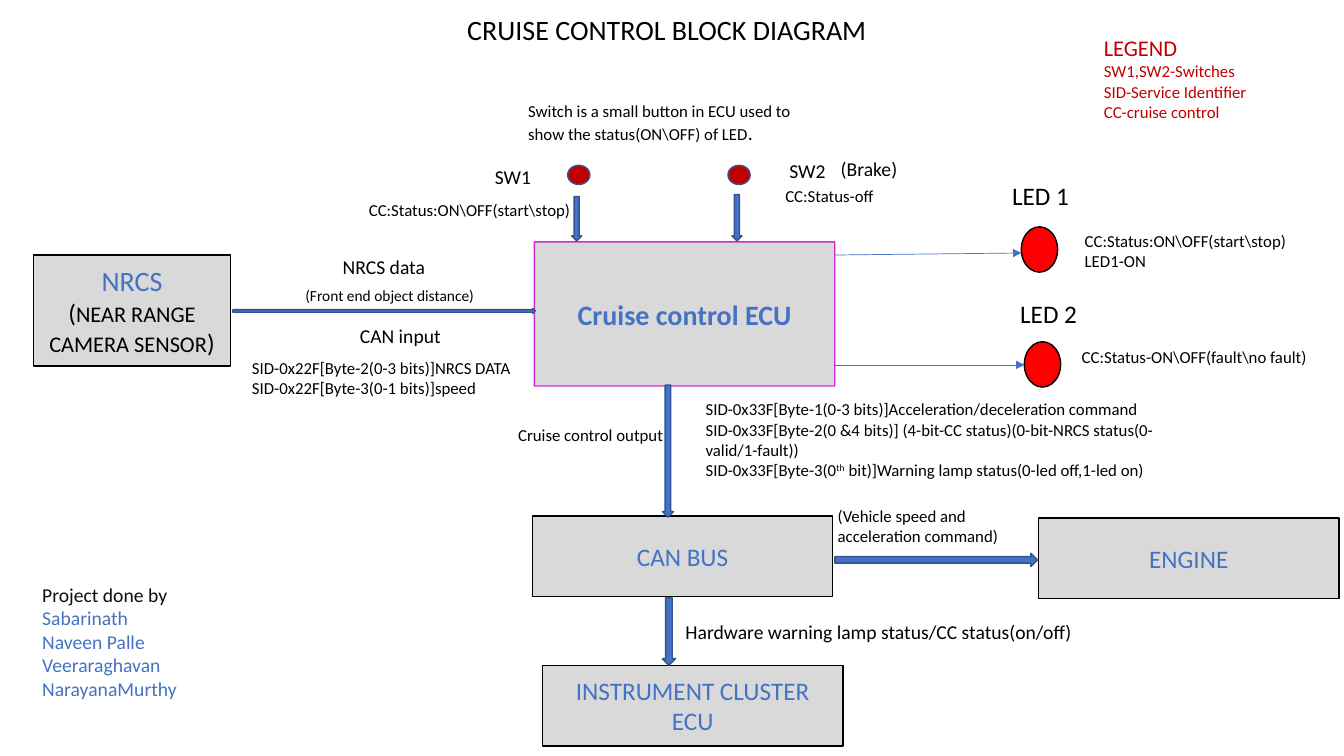
from lxml.etree import SubElement
from pptx import Presentation
from pptx.dml.color import RGBColor
from pptx.enum.shapes import MSO_CONNECTOR, MSO_SHAPE
from pptx.enum.text import MSO_ANCHOR, MSO_AUTO_SIZE, PP_ALIGN
from pptx.oxml.ns import qn
from pptx.util import Inches, Pt

BLACK = RGBColor(0x00, 0x00, 0x00)
INK = RGBColor(0x0D, 0x0D, 0x0D)
WHITE = RGBColor(0xFF, 0xFF, 0xFF)
GREY = RGBColor(0xD9, 0xD9, 0xD9)
BLUE = RGBColor(0x44, 0x72, 0xC4)
DARK_BLUE = RGBColor(0x32, 0x54, 0x91)
MAGENTA = RGBColor(0xCC, 0x00, 0xCC)
DARK_RED = RGBColor(0xC0, 0x00, 0x00)
RED = RGBColor(0xFF, 0x00, 0x00)


class BlockDiagram:
    """Draws diagram elements on a grid of tenth-of-an-inch columns and rows."""

    font = "Calibri"
    cell = Inches(0.1)

    def __init__(self, slide):
        self.slide = slide
        slide.background.fill.solid()
        slide.background.fill.fore_color.rgb = WHITE

    def place(self, *cells):
        return [round(count * self.cell) for count in cells]

    def add_text(self, frame, paragraphs, size, color, align=PP_ALIGN.LEFT):
        for number, runs in enumerate(paragraphs):
            paragraph = frame.add_paragraph() if number else frame.paragraphs[0]
            paragraph.alignment = align
            for words, style in [(runs, {})] if isinstance(runs, str) else runs:
                run = paragraph.add_run()
                run.text = words
                run.font.name = self.font
                run.font.size = Pt(style.get("size", size))
                run.font.color.rgb = style.get("color", color)
                run.font.bold = style.get("bold", False)
                if "raised" in style:
                    run.font._element.set("baseline", str(style["raised"] * 1000))

    def shape(self, kind, at, fill, line):
        shape = self.slide.shapes.add_shape(kind, *self.place(*at))
        shape.shadow.inherit = False
        shape.fill.solid()
        shape.fill.fore_color.rgb = fill
        shape.line.color.rgb = line
        shape.line.width = Pt(1)
        return shape

    def block(self, at, paragraphs, size=18, line=BLACK, opacity=100):
        block = self.shape(MSO_SHAPE.RECTANGLE, at, GREY, line)
        if opacity < 100:
            tint = block.line._ln.find(".//" + qn("a:srgbClr"))
            SubElement(tint, qn("a:alpha")).set("val", str(opacity * 1000))
        block.text_frame.word_wrap = True
        block.text_frame.vertical_anchor = MSO_ANCHOR.MIDDLE
        self.add_text(block.text_frame, paragraphs, size, BLUE, PP_ALIGN.CENTER)

    def lamp(self, at, fill, line):
        self.shape(MSO_SHAPE.OVAL, at, fill, line)

    def flow(self, kind, at):
        self.shape(kind, at, BLUE, DARK_BLUE)

    def signal(self, start, end):
        signal = self.slide.shapes.add_connector(
            MSO_CONNECTOR.STRAIGHT, *self.place(*start, *end))
        signal.line.color.rgb = BLUE
        signal.line.width = Pt(0.5)
        SubElement(signal.line._ln, qn("a:tailEnd")).set("type", "triangle")
        SubElement(signal._element.spPr, qn("a:effectLst"))

    def label(self, at, *paragraphs, size=12, color=BLACK, align=PP_ALIGN.LEFT, wrap=True):
        frame = self.slide.shapes.add_textbox(*self.place(*at)).text_frame
        frame.word_wrap = wrap
        frame.auto_size = MSO_AUTO_SIZE.SHAPE_TO_FIT_TEXT
        self.add_text(frame, paragraphs, size, color, align)


def main():
    deck = Presentation()
    deck.slide_width, deck.slide_height = Inches(13.33), Inches(7.5)
    diagram = BlockDiagram(deck.slides.add_slide(deck.slide_layouts[6]))

    diagram.block((53, 24, 29.8, 14.3), [[("Cruise control ECU", {"bold": True})]],
                  size=20, line=MAGENTA, opacity=82)
    diagram.block((3.3, 25.3, 19.6, 11), [
        [("NRCS", {"size": 20})],
        [("(", {"color": BLACK}),
         ("NEAR RANGE CAMERA SENSOR", {"color": BLACK, "size": 16}),
         (")", {"color": BLACK})],
    ])
    for left, top, names in (
        (52.8, 51.2, ["CAN BUS"]),
        (53.8, 66, ["INSTRUMENT CLUSTER", "ECU"]),
        (103, 51.4, ["ENGINE"]),
    ):
        diagram.block((left, top, 29.8, 8), names)

    for at in ((23.1, 30.6, 30, 0.5), (82.8, 54.9, 20.1, 1.3)):
        diagram.flow(MSO_SHAPE.RIGHT_ARROW, at)
    for at in ((56.7, 19.5, 1, 4.4), (72.6, 19.3, 1, 4.6),
               (65.7, 38.2, 1.1, 13.1), (65.7, 59.3, 1.3, 6.7)):
        diagram.flow(MSO_SHAPE.DOWN_ARROW, at)

    for switch_left in (56.3, 72.2):
        diagram.lamp((switch_left, 16.4, 2.2, 1.9), DARK_RED, DARK_BLUE)
    for led_left, led_top, name, name_at, exit_row, entry_row in (
        (101.3, 22.5, "LED 1", (99.4, 17.4), 25.3, 25.1),
        (101.6, 33.9, "LED 2", (100.2, 29.1), 36.2, 36.2),
    ):
        diagram.lamp((led_left, led_top, 3.6, 4.5), RED, BLACK)
        diagram.signal((82.8, exit_row), (led_left, entry_row))
        diagram.label((*name_at, 8.3, 4), name, size=18)

    diagram.label((40.8, 0.8, 50.7, 4.4), "CRUISE CONTROL BLOCK DIAGRAM",
                  size=20, align=PP_ALIGN.CENTER)
    diagram.label((33, 24.8, 10.3, 3.4), "NRCS data", size=14, wrap=False)
    diagram.label((29.3, 27.9, 20.4, 2.9), "(Front end object distance)", size=11)
    for at, words in (
        ((34.7, 31.6, 12.1, 3.4), "CAN input"),
        ((48.1, 15.9, 7.3, 3.4), "SW1"),
        ((77.3, 15.3, 11.4, 3.4), "SW2"),
        ((82.4, 15.1, 10, 3.4), "(Brake)"),
        ((67, 61, 40.6, 3.4), "Hardware warning lamp status/CC status(on/off)"),
    ):
        diagram.label(at, words, size=14)

    for at, *lines in (
        ((51.4, 9.5, 31.7, 5.4),
         [("Switch is a small button in ECU used to show the status(ON\\OFF) of LED", {}),
          (".", {"size": 14})]),
        ((35.6, 19.3, 22.9, 5), "CC:Status:ON\\OFF(start\\stop)"),
        ((76.9, 17.9, 13.9, 5), "CC:Status-off"),
        ((106.6, 22.4, 22.5, 5), "CC:Status:ON\\OFF(start\\stop)", "LED1-ON"),
        ((106.3, 33.9, 25.1, 3), "CC:Status-ON\\OFF(fault\\no fault)"),
        ((24, 35, 27.9, 5),
         "SID-0x22F[Byte-2(0-3 bits)]NRCS DATA", "SID-0x22F[Byte-3(0-1 bits)]speed"),
        ((50.4, 41.6, 20.1, 3), "Cruise control output"),
        ((69, 39.1, 46.8, 9.1),
         "SID-0x33F[Byte-1(0-3 bits)]Acceleration/deceleration command",
         "SID-0x33F[Byte-2(0 &4 bits)] (4-bit-CC status)(0-bit-NRCS status(0-valid/1-fault))",
         [("SID-0x33F[Byte-3(0", {}), ("th", {"raised": 30}),
          (" bit)]Warning lamp status(0-led off,1-led on)", {})]),
        ((82.1, 49.7, 19.2, 5), "(Vehicle speed and acceleration command)"),
    ):
        diagram.label(at, *lines)

    diagram.label((108.5, 2.9, 20.6, 9.8), [("LEGEND", {"size": 16})],
                  "SW1,SW2-Switches", "SID-Service Identifier", "CC-cruise control",
                  color=DARK_RED)
    diagram.label((3.2, 57.3, 19.6, 15.8), [("Project done by", {"color": INK})],
                  "Sabarinath", "Naveen Palle", "Veeraraghavan", "NarayanaMurthy",
                  size=14, color=BLUE)

    deck.save("out.pptx")


if __name__ == "__main__":
    main()
